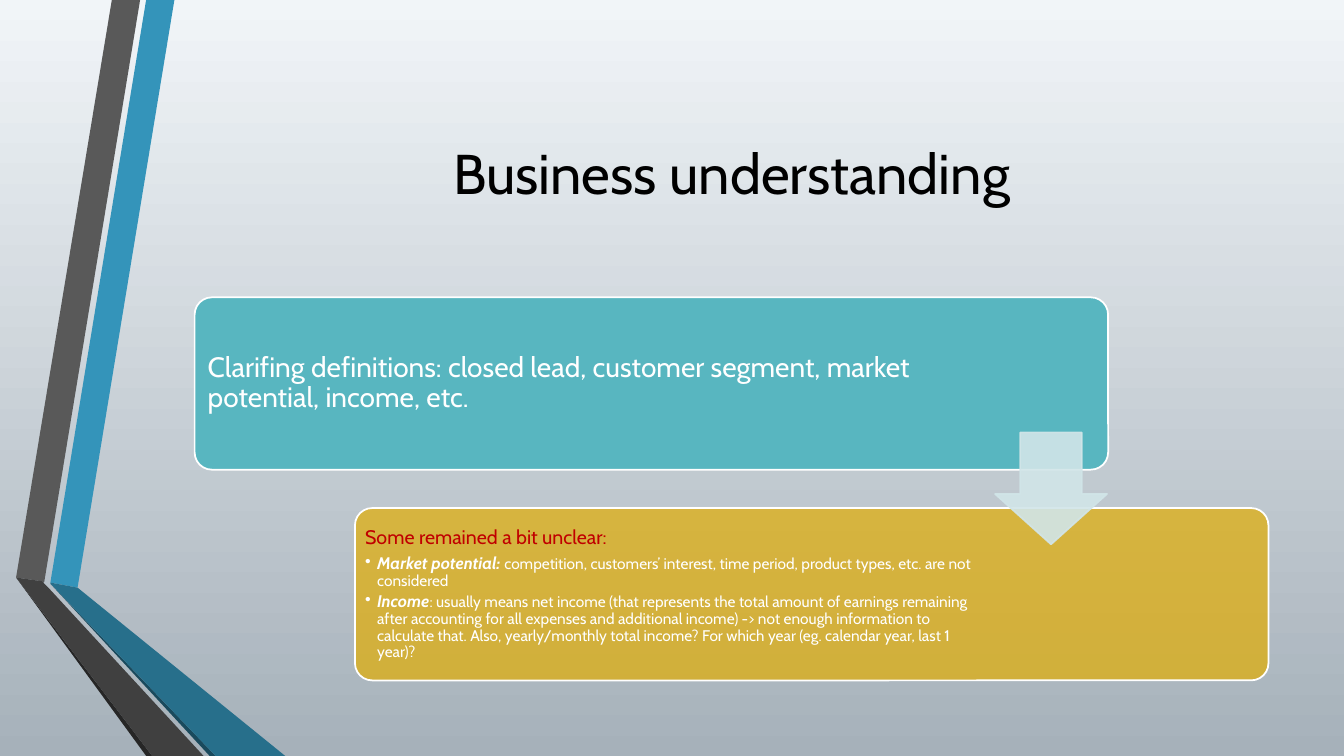
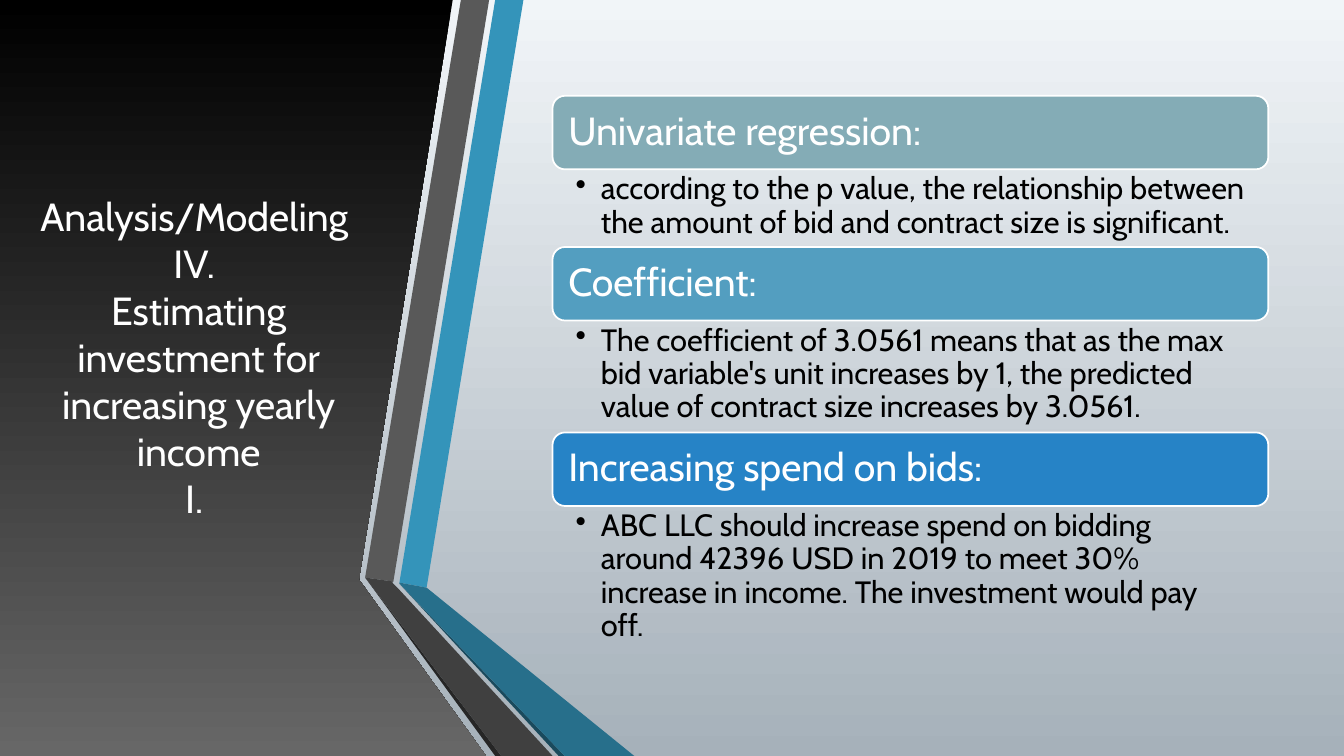
from lxml.etree import SubElement
from pptx import Presentation
from pptx.dml.color import RGBColor
from pptx.enum.shapes import MSO_SHAPE as Preset
from pptx.enum.text import MSO_ANCHOR as Anchor, PP_ALIGN as Align
from pptx.oxml.ns import qn
from pptx.util import Inches, Pt

FONT, WHITE, BLACK = "Cabin", "FFFFFF", "000000"
BACKDROP = ("F1F5F8", "A6B1BA")
FOLD = (
    ("3494BA", ((50, 578), (77, 583), (173, 0), (145, 0))),
    ("595959", ((139, 0), (111, 0), (16, 573), (44, 577))),
    ("262626", ((16, 573), (145, 750), (151, 750))),
    ("1A4A5D", ((50, 579), (208, 750), (214, 750))),
    ("276F8B", ((50, 579), (214, 750), (283, 750), (77, 583), (50, 578))),
    ("404040", ((202, 750), (48, 583), (43, 578), (44, 577), (16, 573), (151, 750))),
)
PANEL = ((353, 0), (449, 0), (356, 575), (482, 750), (0, 750), (0, 0))

deck = Presentation()
deck.slide_width, deck.slide_height = Inches(13.33), Inches(7.5)
col, row = deck.slide_width / 100, deck.slide_height / 100
cell = (deck.slide_width / 1333, deck.slide_height / 750)


def paint(fill, *colors):
    if len(colors) == 1:
        fill.solid()
        fill.fore_color.rgb = RGBColor.from_string(colors[0])
        return
    fill.gradient()
    fill.gradient_angle = 270
    for stop, color in zip(fill.gradient_stops, colors):
        stop.color.rgb = RGBColor.from_string(color)


def write(paragraph, text, size, color, after=0, indent=0):
    paragraph.text = text
    paragraph.line_spacing = 0.9
    paragraph.space_after = Pt(after)
    paragraph.alignment = Align.LEFT
    if indent:
        props = paragraph._p.get_or_add_pPr()
        props.set("marL", str(Inches(indent)))
        props.set("indent", str(-Inches(indent)))
        SubElement(props, qn("a:buChar")).set("char", "•")
    paragraph.font.name = FONT
    paragraph.font.size = Pt(size)
    paint(paragraph.font.fill, color)


slides = []
for title, size, color, left, width, height, fold_left, panel in (
    ("Business understanding", 40, BLACK, 14.48, 79.9, 25.6, 0, ()),
    (
        "Analysis/Modeling \vIV. \vEstimating investment for increasing yearly income\vI. ",
        28, WHITE, 2.03, 25.5, 74.4, 25.97, PANEL,
    ),
):
    slide = deck.slides.add_slide(deck.slide_layouts[6])
    slides.append(slide)
    paint(slide.background.fill, *BACKDROP)
    outlines = [(0, (BLACK, "676767"), panel)] if panel else []
    outlines += [(fold_left, (shade,), points) for shade, points in FOLD]
    for offset, shades, points in outlines:
        builder = slide.shapes.build_freeform(*points[0], scale=cell)
        builder.add_line_segments(points[1:], close=True)
        facet = builder.convert_to_shape(int(offset * col), 0)
        facet.shadow.inherit = False
        paint(facet.fill, *shades)
        facet.line.fill.background()
    heading = slide.shapes.add_textbox(
        int(left * col), int(10 * row), int(width * col), int(height * row)
    ).text_frame
    heading.word_wrap = True
    heading.vertical_anchor = Anchor.MIDDLE
    write(heading.paragraphs[0], title, size, color)
    heading.paragraphs[0].line_spacing = 1.0
    heading.paragraphs[0].alignment = Align.CENTER

understanding, regression = slides

TOPICS = (
    ("Univariate regression:", "84ACB6", 10.27,
     "according to the p value, the relationship between the amount of bid and contract size is significant."),
    ("Coefficient:", "539EC0", 14.8,
     "The coefficient of 3.0561 means that as the max bid variable's unit increases by 1, "
     "the predicted value of contract size increases by 3.0561."),
    ("Increasing spend on bids:", "2683C6", 14.8,
     "ABC LLC should increase spend on bidding around 42396 USD in 2019 to meet 30% increase in income. "
     "The investment would pay off."),
)
cards = [
    (understanding, 14.48, 39.33, 67.97, 22.8, 0.1, "58B6C0", 0.08, 1.75,
     "Clarifing definitions: closed lead, customer segment, market potential, income, etc.", 20, WHITE),
    (understanding, 26.41, 67.2, 67.97, 22.8, 0.1, "E2AC00", 0.05, 2.76,
     "Some remained a bit unclear:", 14, "C00000"),
]
top = 12.67
for topic, shade, detail_height, detail in TOPICS:
    cards.append((regression, 41.11, top, 53.26, 9.73, 0.17, shade, 0.12, 0.12, topic, 28, WHITE))
    top += 9.73
    note = regression.shapes.add_textbox(
        int(41.11 * col), int(top * row), int(53.26 * col), int(detail_height * row)
    ).text_frame
    note.word_wrap = True
    note.margin_left, note.margin_right = Inches(0.23), Inches(0.22)
    note.margin_top = note.margin_bottom = Inches(0.04)
    write(note.paragraphs[0], detail, 22, BLACK, indent=0.25)
    top += detail_height

for slide, left, top, width, height, corner, shade, inset, inset_right, text, size, color in cards:
    card = slide.shapes.add_shape(
        Preset.ROUNDED_RECTANGLE, int(left * col), int(top * row), int(width * col), int(height * row)
    )
    card.adjustments[0] = corner
    card.shadow.inherit = False
    paint(card.fill, shade)
    paint(card.line.fill, WHITE)
    card.line.width = Pt(1.25)
    frame = card.text_frame
    frame.word_wrap = True
    frame.vertical_anchor = Anchor.MIDDLE
    frame.margin_left = frame.margin_top = frame.margin_bottom = Inches(inset)
    frame.margin_right = Inches(inset_right)
    write(frame.paragraphs[0], text, size, color, after=size * 0.35)
    if slide is understanding:
        unclear = card

for term, explanation in (
    ("Market potential: ",
     "competition, customers’ interest, time period, product types, etc. are not considered"),
    ("Income",
     ": usually means net income (that represents the total amount of earnings remaining "
     "after accounting for all expenses and additional income) -> not enough information to calculate that. "
     "Also, yearly/monthly total income? For which year (eg. calendar year, last 1 year)?"),
):
    point = unclear.text_frame.add_paragraph()
    write(point, "", 11, WHITE, after=2, indent=0.12)
    lead = point.add_run()
    lead.text = term
    lead.font.size = Pt(12)
    lead.font.bold = lead.font.italic = True
    point.add_run().text = explanation

arrow = understanding.shapes.add_shape(
    Preset.DOWN_ARROW, int(74.04 * col), int(57.2 * row), int(8.33 * col), int(14.8 * row)
)
arrow.adjustments[0], arrow.adjustments[1] = 0.55, 0.45
arrow.shadow.inherit = False
paint(arrow.fill, "D1E5E8")
paint(arrow.line.fill, "D1E5E8")
arrow.line.width = Pt(1.25)

for shape, color, opacity in ((unclear, "E2AC00", 69), (arrow, "D1E5E8", 90)):
    for shade in shape.element.spPr.findall(".//" + qn("a:srgbClr")):
        if shade.get("val") == color:
            SubElement(shade, qn("a:alpha")).set("val", str(opacity * 1000))

deck.save("out.pptx")
